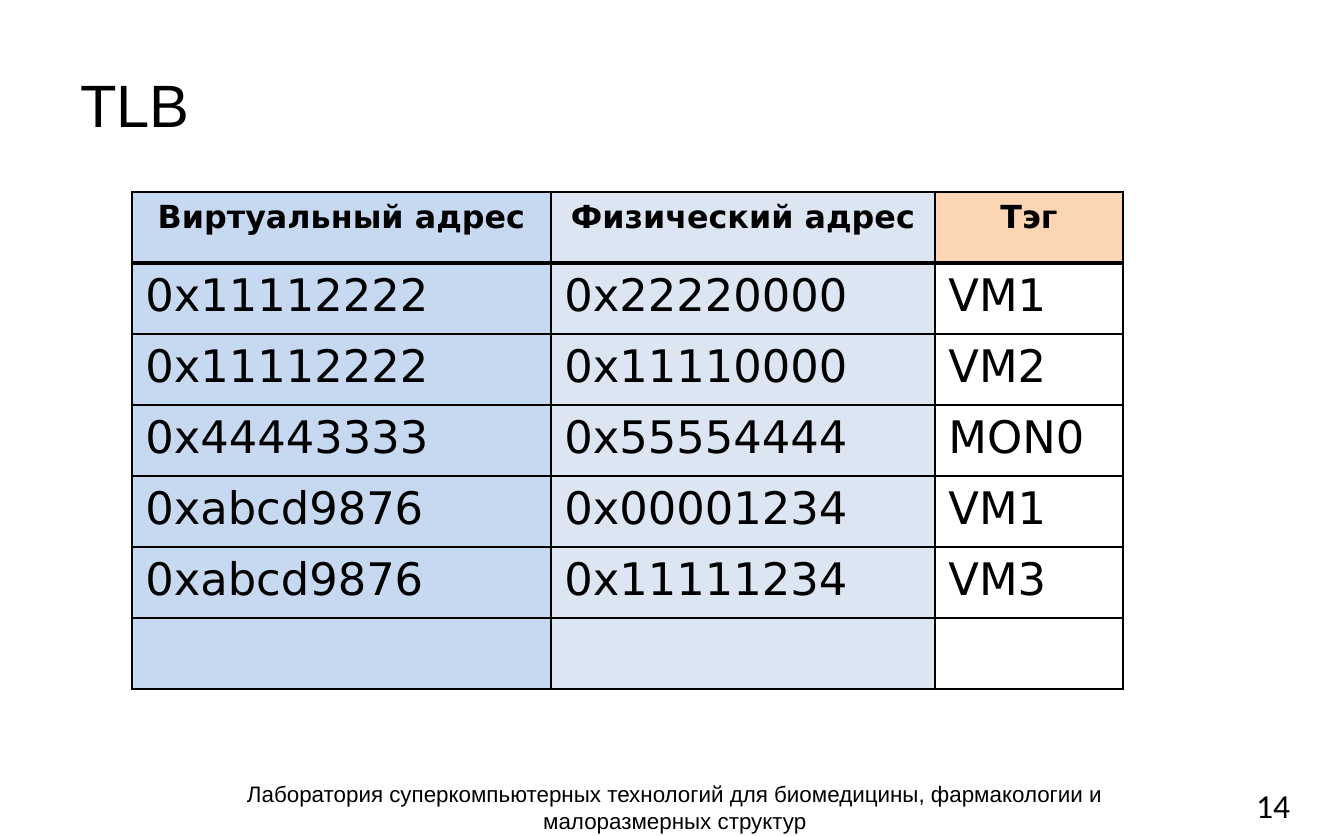
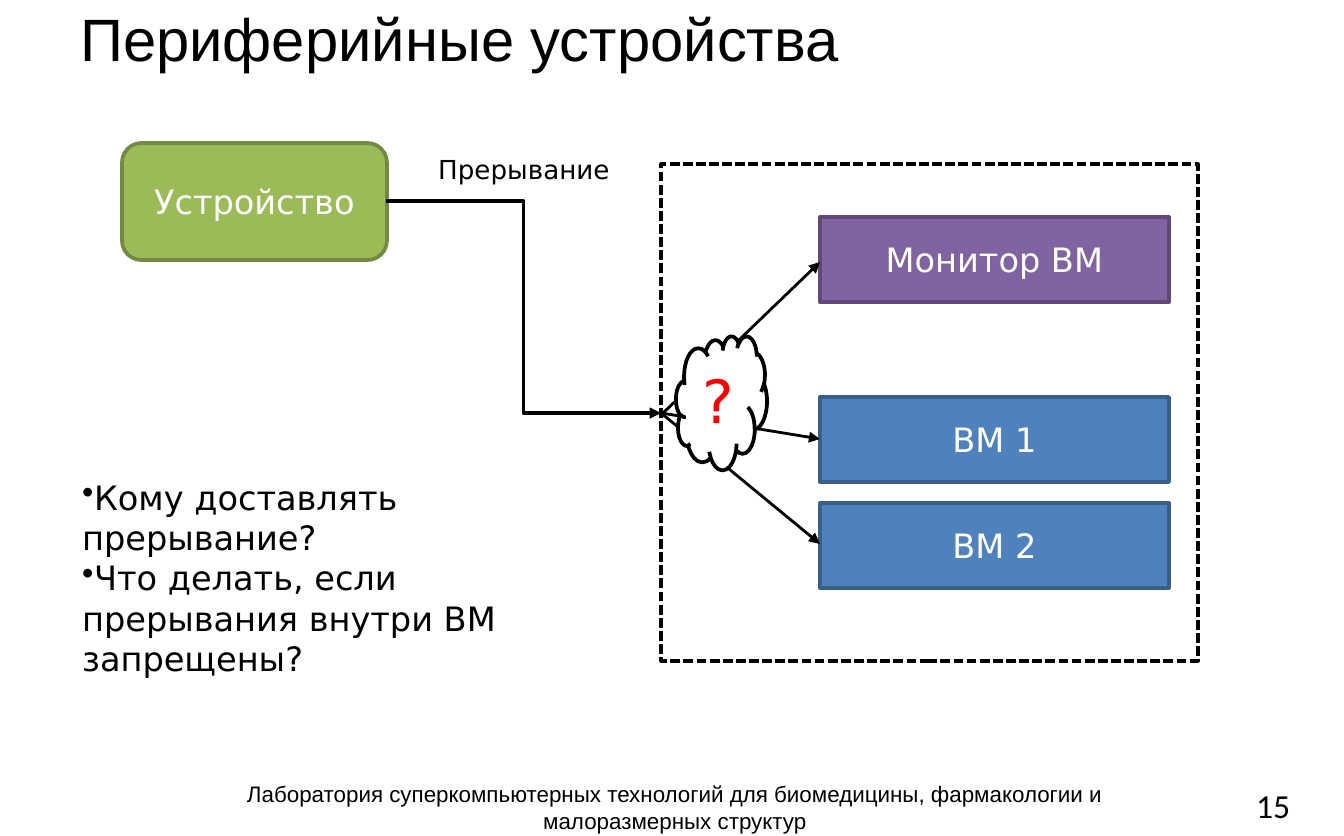
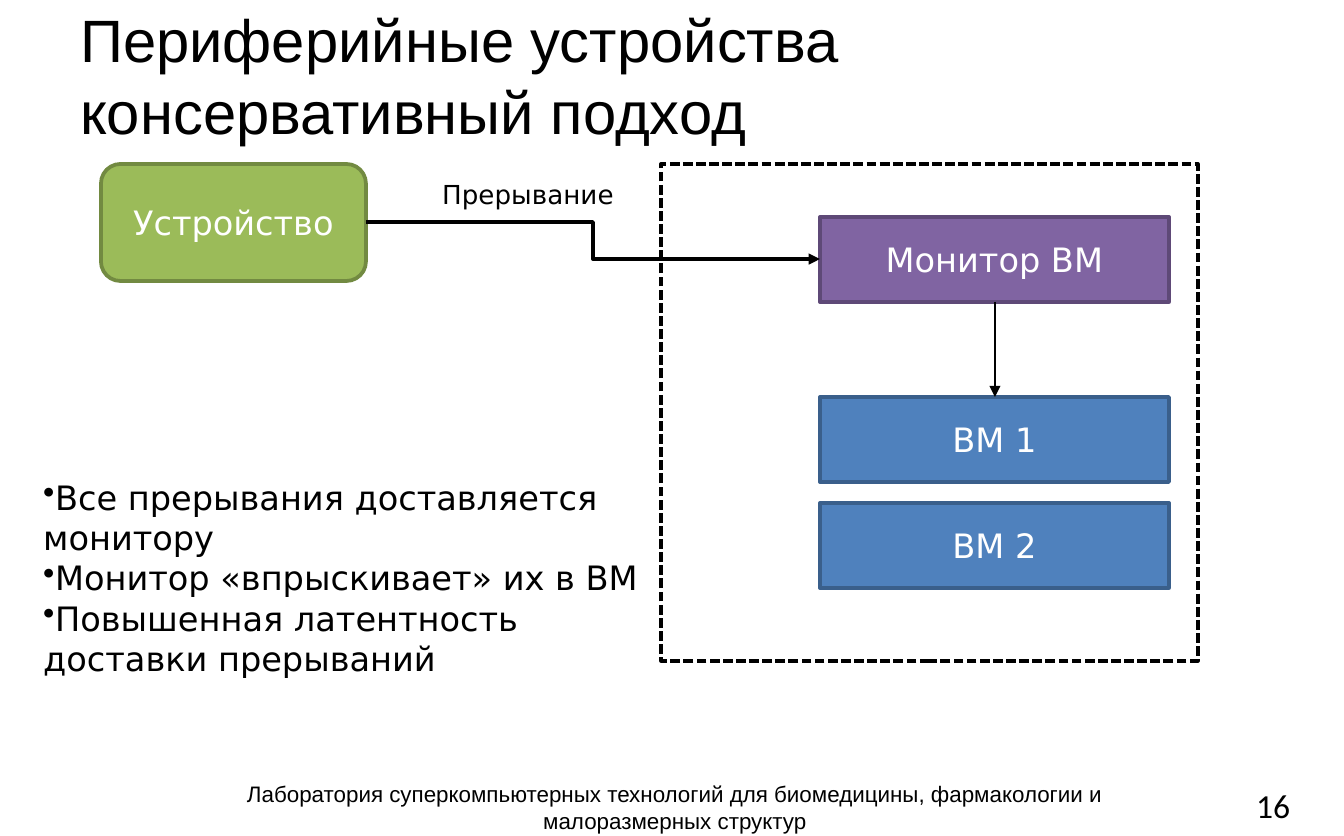
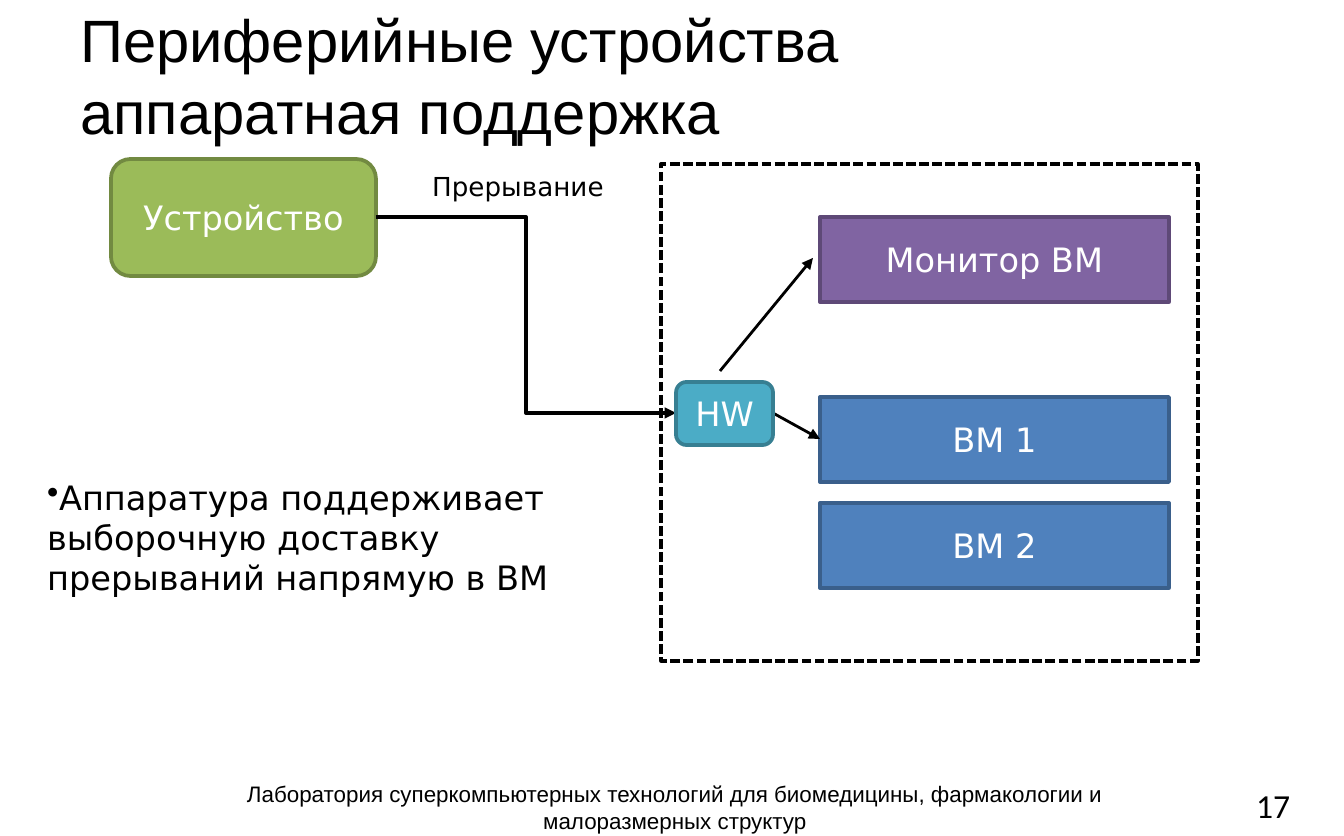
from typing import NamedTuple, Optional

from lxml.etree import SubElement
from pptx import Presentation
from pptx.dml.color import RGBColor
from pptx.enum.dml import MSO_LINE
from pptx.enum.shapes import MSO_CONNECTOR, MSO_SHAPE
from pptx.enum.text import MSO_ANCHOR, PP_ALIGN
from pptx.oxml.ns import qn
from pptx.slide import Slide
from pptx.util import Emu, Pt

SCALE = 914400 / 134.4
HUE = {
    "black": "000000", "white": "FFFFFF", "red": "FF0000",
    "green": "9BBB59", "moss": "728A41", "plum": "8064A2", "grape": "5E4977",
    "blue": "4F81BD", "navy": "3A5F8B", "teal": "4BACC6", "sea": "377F92",
    "sky": "C6D9F1", "mist": "DCE6F2", "peach": "FCD5B5",
}
SANS = "DejaVu Sans"
FOOTER = ("Лаборатория суперкомпьютерных технологий для биомедицины, "
          "фармакологии и малоразмерных структур")
ROWS = [
    ("Виртуальный адрес", "Физический адрес", "Тэг"),
    ("0x11112222", "0x22220000", "VM1"),
    ("0x11112222", "0x11110000", "VM2"),
    ("0x44443333", "0x55554444", "MON0"),
    ("0xabcd9876", "0x00001234", "VM1"),
    ("0xabcd9876", "0x11111234", "VM3"),
    ("", "", ""),
]
COLS = [(419, "sky", "sky"), (384, "mist", "mist"), (188, "peach", "white")]
ROW = 71


class Area(NamedTuple):
    """Place and size in px."""
    x: int
    y: int
    w: int
    h: int


class Style(NamedTuple):
    """Font, size, colour and layout of a text."""
    size: int
    font: str = SANS
    ink: str = "black"
    align: PP_ALIGN = PP_ALIGN.LEFT
    anchor: MSO_ANCHOR = MSO_ANCHOR.TOP
    wrap: bool = True


class Box(NamedTuple):
    """A filled or framed shape with centred text."""
    area: Area
    text: str = ""
    fill: Optional[str] = None
    line: Optional[str] = None
    kind: MSO_SHAPE = MSO_SHAPE.RECTANGLE
    size: int = 18
    ink: str = "white"


class Link(NamedTuple):
    """An arrow between two points."""
    x: int
    y: int
    to_x: int
    to_y: int
    kind: MSO_CONNECTOR = MSO_CONNECTOR.STRAIGHT
    width: float = 1.5


class Scene(NamedTuple):
    """What changes from one device slide to the next."""
    title: str
    head: Area
    device: tuple[int, int]
    label: tuple[int, int]
    signal: Link
    links: list[Link]
    extra: list[Box]
    notes: list[str]
    place: Area


TITLE = Style(32, "Arial", anchor=MSO_ANCHOR.MIDDLE, wrap=False)
FOOT = Style(12, "Arial", align=PP_ALIGN.CENTER)
PAGE = Style(18, "Calibri")
LABEL = Style(14, wrap=False)
NOTE = Style(18)
HEAD = Area(67, 16, 1210, 117)
ROUND = MSO_SHAPE.ROUNDED_RECTANGLE
ELBOW = MSO_CONNECTOR.ELBOW
DOMAIN = Box(Area(661, 164, 537, 497), line="black")
HOSTS = [
    Box(Area(820, y, 349, 85), text, fill, line)
    for y, text, fill, line in [
        (217, "Монитор ВМ", "plum", "grape"),
        (397, "ВМ 1", "blue", "navy"),
        (503, "ВМ 2", "blue", "navy"),
    ]
]
SCENES = [
    Scene(
        "Периферийные устройства", Area(67, -5, 1210, 85), (122, 143), (425, 147),
        Link(386, 201, 661, 413, ELBOW, 2),
        [Link(661, 415, 820, 262), Link(661, 413, 820, 439), Link(661, 413, 820, 544)],
        [Box(Area(676, 336, 91, 134), "?", "white", "black", MSO_SHAPE.CLOUD, 32, "red")],
        ["Кому доставлять прерывание?",
         "Что делать, если прерывания внутри ВМ запрещены?"],
        Area(69, 470, 519, 215),
    ),
    Scene(
        "Периферийные устройства\nконсервативный подход", HEAD, (101, 164), (429, 172),
        Link(366, 222, 820, 259, ELBOW, 2),
        [Link(995, 302, 995, 397)],
        [],
        ["Все прерывания доставляется монитору",
         "Монитор «впрыскивает» их в ВМ",
         "Повышенная латентность доставки прерываний"],
        Area(30, 470, 624, 255),
    ),
    Scene(
        "Периферийные устройства\nаппаратная поддержка", HEAD, (111, 159), (419, 164),
        Link(376, 217, 676, 413, ELBOW, 2),
        [Link(720, 371, 813, 258), Link(773, 413, 820, 439)],
        [Box(Area(676, 382, 97, 63), "HW", "teal", "sea", ROUND)],
        ["Аппаратура поддерживает выборочную доставку прерываний напрямую в ВМ"],
        Area(34, 470, 554, 136),
    ),
]


def px(size: int) -> Emu:
    """Turn px into EMU."""
    return Emu(round(size * SCALE))


def rgb(name: str) -> RGBColor:
    """Look up a colour."""
    return RGBColor.from_string(HUE[name])


def write(frame, lines: list[str], style: Style) -> None:
    """Fill a text frame with one paragraph per line."""
    frame.word_wrap = style.wrap
    frame.vertical_anchor = style.anchor
    for i, line in enumerate(lines):
        para = frame.add_paragraph() if i else frame.paragraphs[0]
        para.text = line
        para.alignment = style.align
        para.font.size = Pt(style.size)
        para.font.name = style.font
        para.font.color.rgb = rgb(style.ink)


def add_text(slide: Slide, area: Area, text: str, style: Style):
    """Add a text box and return its frame."""
    frame = slide.shapes.add_textbox(*map(px, area)).text_frame
    write(frame, [text], style)
    return frame


def add_box(slide: Slide, box: Box):
    """Add a shape and return it."""
    shape = slide.shapes.add_shape(box.kind, *map(px, box.area))
    shape.shadow.inherit = False
    if box.fill:
        shape.fill.solid()
        shape.fill.fore_color.rgb = rgb(box.fill)
    else:
        shape.fill.background()
    if box.line:
        shape.line.color.rgb = rgb(box.line)
        shape.line.width = Pt(2)
    else:
        shape.line.fill.background()
    if box.text:
        write(shape.text_frame, [box.text],
              Style(box.size, SANS, box.ink, PP_ALIGN.CENTER, MSO_ANCHOR.MIDDLE))
    return shape


def add_link(slide: Slide, link: Link) -> None:
    """Add a black arrow."""
    line = slide.shapes.add_connector(link.kind, *map(px, link[:4]))
    line.line.color.rgb = rgb("black")
    line.line.width = Pt(link.width)
    SubElement(line.line._get_or_add_ln(), qn("a:tailEnd"), type="triangle")
    SubElement(line._element.spPr, qn("a:effectLst"))


def add_notes(slide: Slide, area: Area, lines: list[str]) -> None:
    """Add a white panel of bulleted lines."""
    frame = add_box(slide, Box(area, fill="white")).text_frame
    write(frame, lines, NOTE)
    for para in frame.paragraphs:
        props = para._p.get_or_add_pPr()
        props.set("marL", "0")
        props.set("indent", "0")
        SubElement(props, qn("a:buChar"), char="•").getparent()
        props.insert(0, props.find(qn("a:buChar")))


def add_edges(cell, base: float) -> None:
    """Draw the borders of a cell."""
    props = cell._tc.get_or_add_tcPr()
    for i, side in enumerate(("lnL", "lnR", "lnT", "lnB")):
        width = Pt(base if side == "lnB" else 1)
        edge = SubElement(props, qn(f"a:{side}"), w=str(width))
        fill = SubElement(edge, qn("a:solidFill"))
        SubElement(fill, qn("a:srgbClr"), val=HUE["black"])
        props.insert(i, edge)


def add_grid(slide: Slide) -> None:
    """Add the table of addresses."""
    area = Area(132, 192, sum(col[0] for col in COLS), ROW * len(ROWS))
    grid = slide.shapes.add_table(len(ROWS), len(COLS), *map(px, area)).table
    grid.first_row = grid.horz_banding = False
    for col, (width, _, _) in zip(grid.columns, COLS):
        col.width = px(width)
    for r, row in enumerate(ROWS):
        grid.rows[r].height = px(ROW)
        top = r == 0
        style = Style(17, align=PP_ALIGN.CENTER) if top else Style(24)
        for c, (text, (_, head, body)) in enumerate(zip(row, COLS)):
            cell = grid.cell(r, c)
            cell.fill.solid()
            cell.fill.fore_color.rgb = rgb(head if top else body)
            add_edges(cell, 2 if top else 1)
            if text:
                write(cell.text_frame, [text], style)
                cell.text_frame.paragraphs[0].font.bold = top


def add_slide(deck, page: int, title: str, head: Area) -> Slide:
    """Add a slide with footer, number and title."""
    slide = deck.slides.add_slide(deck.slide_layouts[6])
    add_text(slide, Area(153, 774, 1044, 44), FOOTER, FOOT)
    add_text(slide, Area(1243, 778, 75, 44), str(page), PAGE)
    frame = add_text(slide, head, title, TITLE)
    frame._txBody.bodyPr.set("anchorCtr", "1")
    return slide


def draw_scene(slide: Slide, scene: Scene) -> None:
    """Draw the route of an interrupt."""
    device = Box(Area(*scene.device, 265, 117), "Устройство", "green", "moss", ROUND)
    for box in [*HOSTS, device]:
        add_box(slide, box)
    frame = add_box(slide, DOMAIN)
    frame.line.width = Pt(1.75)
    frame.line.dash_style = MSO_LINE.SQUARE_DOT
    add_link(slide, scene.signal)
    add_text(slide, Area(*scene.label, 198, 44), "Прерывание", LABEL)
    for link in scene.links:
        add_link(slide, link)
    for box in scene.extra:
        add_box(slide, box)
    add_notes(slide, scene.place, scene.notes)


def main() -> None:
    """Build and save the deck."""
    deck = Presentation()
    deck.slide_width, deck.slide_height = px(1344), px(836)
    add_grid(add_slide(deck, 14, "TLB", Area(67, 34, 1210, 140)))
    for page, scene in enumerate(SCENES, 15):
        draw_scene(add_slide(deck, page, scene.title, scene.head), scene)
    deck.save("out.pptx")


if __name__ == "__main__":
    main()
